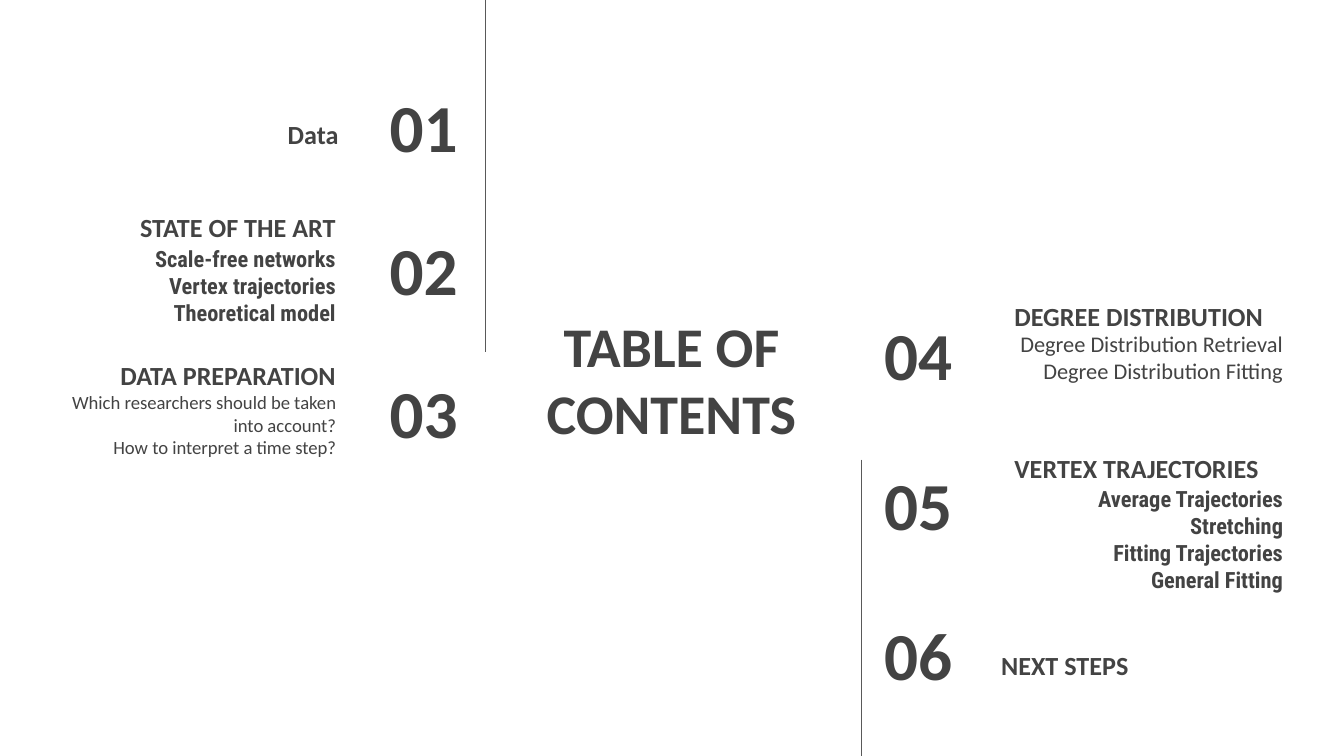
from dataclasses import dataclass

from lxml.etree import SubElement
from pptx import Presentation
from pptx.dml.color import RGBColor
from pptx.enum.shapes import MSO_CONNECTOR
from pptx.enum.text import MSO_ANCHOR as Anchor, MSO_AUTO_SIZE, PP_ALIGN as Align
from pptx.oxml.ns import qn
from pptx.util import Cm, Pt

INK = "434343"
RULE = "595959"
ROW_HEIGHT = 1.6
NUMBER_WIDTH = 3.05


@dataclass
class Entry:
    """One contents line; offsets are in cm from the top of its number."""
    number: str
    heading: str
    heading_dy: float
    heading_dx: float = 0
    topics: tuple = ()
    topics_dy: float = 0.1
    size: int = 12
    font: str = "Calibri"
    bold: bool = False


LEFT_ENTRIES = [
    Entry("01", "Data", -0.08, heading_dx=0.05),
    Entry("02", "STATE OF THE ART", -1.04,
          topics=("Scale-free networks", "Vertex trajectories", "Theoretical model"),
          font="Roboto Condensed", bold=True),
    Entry("03", "DATA PREPARATION", -0.95,
          topics=("Which researchers should be taken into account?",
                  "How to interpret a time step?"),
          topics_dy=0.15, size=10),
]
RIGHT_ENTRIES = [
    Entry("04", "DEGREE DISTRIBUTION", -0.97,
          topics=("Degree Distribution Retrieval", "Degree Distribution Fitting")),
    Entry("05", "VERTEX TRAJECTORIES", -0.92,
          topics=("Average Trajectories", "Stretching", "Fitting Trajectories",
                  "General Fitting"),
          topics_dy=0.2, font="Roboto Condensed", bold=True),
    Entry("06", "NEXT STEPS", -0.03, heading_dx=-0.25),
]


def color(hex_text):
    return RGBColor.from_string(hex_text)


def write(shape, box, lines, size, align, anchor, font="Calibri", bold=True):
    """Place a text shape and fill it with one paragraph per line."""
    shape.left, shape.top, shape.width, shape.height = (Cm(value) for value in box)
    frame = shape.text_frame
    frame.word_wrap = True
    frame.auto_size = MSO_AUTO_SIZE.NONE
    frame.vertical_anchor = anchor
    frame.margin_left = frame.margin_right = Cm(0.25)
    frame.margin_top = frame.margin_bottom = Cm(0.25)
    frame.text = "\n".join(lines)
    for para in frame.paragraphs:
        properties = para._p.get_or_add_pPr()
        properties.set("marL", "0")
        properties.set("indent", "0")
        SubElement(properties, qn("a:buNone"))
        para.alignment = align
        para.space_before = Pt(0)
        for span in para.runs:
            span.font.name = font
            span.font.size = Pt(size)
            span.font.bold = bold
            span.font.color.rgb = color(INK)


def add_text(page, box, text, size, align, anchor):
    shape = page.shapes.add_textbox(0, 0, 0, 0)
    write(shape, box, [text], size, align, anchor)


def add_column(page, box, entries, step, numbers_right, bodies):
    """Stack entries in a box (left, top, width), with numbers on one side."""
    left, top, width = box
    if numbers_right:
        number_left = left + width - NUMBER_WIDTH
        text_left, text_width = left, width - 2.3
        align = Align.RIGHT
    else:
        number_left = left
        text_left, text_width = left + 2.46, width - 2.46
        align = Align.LEFT
    for index, entry in enumerate(entries):
        row = top + index * step
        add_text(page, (number_left, row, NUMBER_WIDTH, ROW_HEIGHT),
                 entry.number, 36, align, Anchor.MIDDLE)
        add_text(page, (text_left + entry.heading_dx, row + entry.heading_dy,
                        text_width, ROW_HEIGHT),
                 entry.heading, 14, align, Anchor.BOTTOM)
        if entry.topics:
            write(next(bodies), (text_left, row + entry.topics_dy, text_width, ROW_HEIGHT),
                  entry.topics, entry.size, Align.RIGHT, Anchor.TOP, entry.font, entry.bold)


def add_rule(page, x, top, bottom):
    line = page.shapes.add_connector(
        MSO_CONNECTOR.STRAIGHT, Cm(x), Cm(top), Cm(x), Cm(bottom))
    line.line.color.rgb = color(RULE)
    line.line.width = Pt(0.75)
    SubElement(line._element.spPr, qn("a:effectLst"))


def add_contents_slide(deck):
    comparison_layout = deck.slide_layouts[4]
    page = deck.slides.add_slide(comparison_layout)
    page.background.fill.solid()
    page.background.fill.fore_color.rgb = color("FFFFFF")
    title, *topic_bodies = page.placeholders
    write(title, (9.4, 5.84, 6.58, 2.62), ["TABLE OF CONTENTS"], 30,
          Align.CENTER, Anchor.MIDDLE)
    bodies = iter(topic_bodies)
    add_column(page, (0.8, 1.57, 8.1), LEFT_ENTRIES, 2.71, True, bodies)
    add_column(page, (16.46, 5.89, 8.04), RIGHT_ENTRIES, 2.83, False, bodies)
    add_rule(page, 9.17, 0, 6.65)
    add_rule(page, 16.28, 8.69, 14.29)


def main():
    deck = Presentation()
    deck.slide_width = Cm(25.4)
    deck.slide_height = Cm(14.29)
    add_contents_slide(deck)
    deck.save("out.pptx")


if __name__ == "__main__":
    main()
